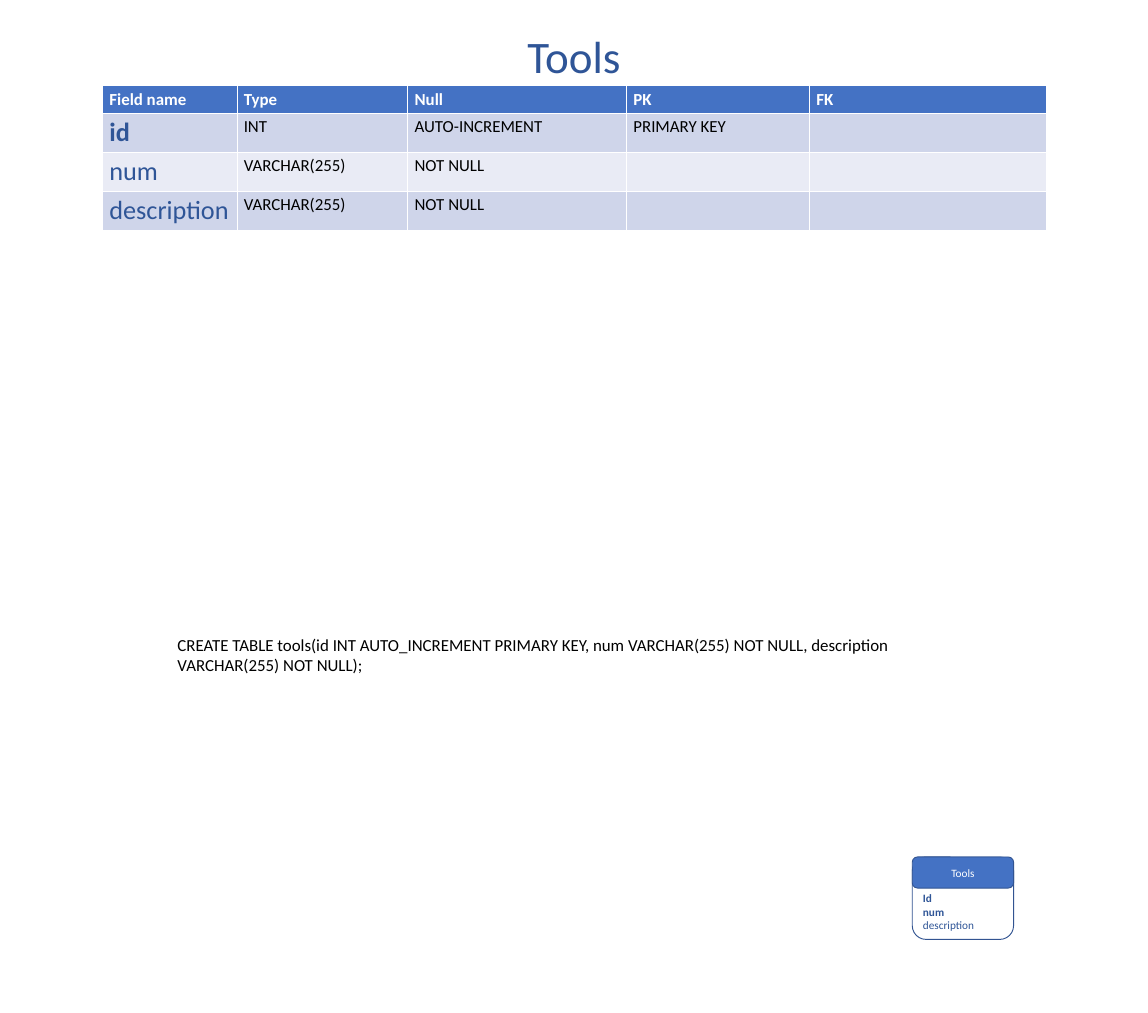
from pptx import Presentation
from pptx import util as u
from pptx.dml.color import RGBColor
from pptx.enum import shapes, text

PX = 9144  # EMU per px, 100 px to the inch
WHITE = RGBColor(0xFF, 0xFF, 0xFF)
BLACK = RGBColor(0x00, 0x00, 0x00)
BLUE = RGBColor(0x44, 0x72, 0xC4)
NAVY = RGBColor(0x2F, 0x55, 0x97)
OUTLINE = RGBColor(0x32, 0x54, 0x91)
BANDS = [RGBColor(0xCF, 0xD5, 0xEA), RGBColor(0xE9, 0xEB, 0xF5)]

HEADINGS = ["Field name", "Type", "Null", "PK", "FK"]
FIELDS = [
    ["id", "INT", "AUTO-INCREMENT", "PRIMARY KEY", ""],
    ["num", "VARCHAR(255)", "NOT NULL", "", ""],
    ["description", "VARCHAR(255)", "NOT NULL", "", ""],
]
CREATE_STATEMENT = (
    "CREATE TABLE tools(id INT AUTO_INCREMENT PRIMARY KEY, num VARCHAR(255) NOT NULL, "
    "description VARCHAR(255) NOT NULL);"
)


class SchemaPage:
    font = "Calibri"

    def __init__(self, deck):
        self.page = deck.slides.add_slide(deck.slide_layouts[5])

    def emu(self, *lengths):
        return [u.Emu(length * PX) for length in lengths]

    def style(self, para, size, color, bold=False, align=text.PP_ALIGN.LEFT):
        para.alignment = align
        para.font.name = self.font
        para.font.size = u.Pt(size)
        para.font.bold = bold
        para.font.color.rgb = color

    def title(self, words, at):
        box = self.page.shapes.title
        box.left, box.top, box.width, box.height = self.emu(*at)
        frame = box.text_frame
        frame.text = words
        frame.auto_size = text.MSO_AUTO_SIZE.NONE
        frame.vertical_anchor = text.MSO_ANCHOR.TOP
        self.style(frame.paragraphs[0], 48, NAVY, align=text.PP_ALIGN.CENTER)

    def note(self, words, at):
        frame = self.page.shapes.add_textbox(*self.emu(*at)).text_frame
        frame.word_wrap = True
        frame.text = words
        self.style(frame.paragraphs[0], 18, BLACK)

    def table(self, rows, left, top, widths, heights):
        at = self.emu(left, top, sum(widths), sum(heights))
        grid = self.page.shapes.add_table(len(rows), len(widths), *at).table
        for column, width in zip(grid.columns, self.emu(*widths)):
            column.width = width
        for row, height in zip(grid.rows, self.emu(*heights)):
            row.height = height
        for r, words in enumerate(rows):
            for c, word in enumerate(words):
                cell = grid.cell(r, c)
                cell.text = word
                cell.fill.solid()
                cell.fill.fore_color.rgb = BANDS[(r - 1) % 2] if r else BLUE
                para = cell.text_frame.paragraphs[0]
                if r == 0:
                    self.style(para, 18, WHITE, bold=True)
                elif c == 0:
                    self.style(para, 28, NAVY, bold=word == "id")
                else:
                    self.style(para, 18, BLACK)

    def panel(self, group, at, fill, anchor):
        box = group.shapes.add_shape(shapes.MSO_SHAPE.ROUNDED_RECTANGLE, *self.emu(*at))
        box.shadow.inherit = False
        if fill is None:
            box.fill.background()
        else:
            box.fill.solid()
            box.fill.fore_color.rgb = fill
        box.line.color.rgb = OUTLINE
        box.line.width = u.Pt(1)
        box.text_frame.vertical_anchor = anchor
        return box.text_frame

    def entity(self, name, fields, at, header_height):
        """Draw an entity card; fields are (name, bold) pairs."""
        left, top, width, _ = at
        group = self.page.shapes.add_group_shape()
        body = self.panel(group, at, None, text.MSO_ANCHOR.BOTTOM)
        body.text = "\n".join(field for field, _ in fields)
        for para, (_, bold) in zip(body.paragraphs, fields):
            self.style(para, 12, NAVY, bold)
        header = self.panel(group, (left, top, width, header_height), BLUE,
                            text.MSO_ANCHOR.MIDDLE)
        header.text = name
        self.style(header.paragraphs[0], 12, WHITE, align=text.PP_ALIGN.CENTER)


def main():
    deck = Presentation()
    deck.slide_width, deck.slide_height = u.Inches(17), u.Inches(15)
    schema = SchemaPage(deck)

    # Field table under its title
    schema.table([HEADINGS] + FIELDS, 152, 127,
                 widths=[199, 253, 324, 271, 350], heights=[40] + [58] * len(FIELDS))
    schema.title("Tools", (691, 37, 318, 91))

    # SQL statement
    schema.note(CREATE_STATEMENT, (253, 935, 1185, 71))

    # Entity card
    schema.entity("Tools", [("Id", True), ("num", True), ("description", False)],
                  (1351, 1269, 150, 122), header_height=46)

    deck.save("out.pptx")


if __name__ == "__main__":
    main()
